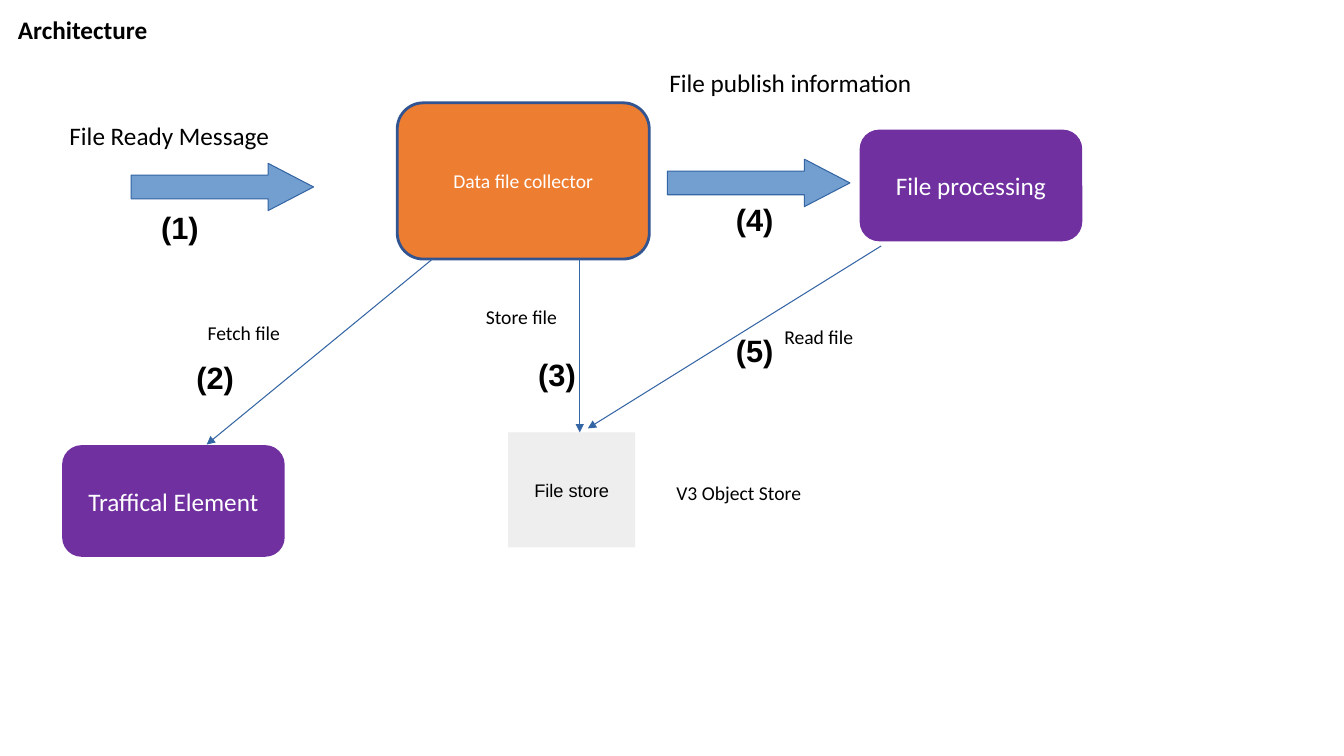
from lxml import etree
from pptx import Presentation
from pptx import util as u
from pptx.dml.color import RGBColor
from pptx.enum import shapes, text
from pptx.oxml.ns import qn

COLOURS = {
    "black": "000000", "white": "FFFFFF", "purple": "7030A0",
    "orange": "ED7D31", "navy": "325491", "grey": "EEEEEE",
    "arrow_fill": "729FCF", "arrow_line": "3465A4",
}
BOX_KIND = shapes.MSO_SHAPE.ROUNDED_RECTANGLE


def colour(name):
    """Return the named colour as an RGB value."""
    return RGBColor.from_string(COLOURS[name])


def write_text(shape, words, size=18, font="Calibri", ink="black", bold=False,
               align=text.PP_ALIGN.LEFT, anchor=text.MSO_ANCHOR.TOP, side=0.1):
    """Put one formatted line of text in a shape."""
    frame = shape.text_frame
    frame.word_wrap = True
    frame.vertical_anchor = anchor
    frame.margin_left = frame.margin_right = u.Inches(side)
    paragraph = frame.paragraphs[0]
    paragraph.alignment = align
    run = paragraph.add_run()
    run.text = words
    run.font.size = u.Pt(size)
    run.font.name = font
    run.font.bold = bold
    run.font.color.rgb = colour(ink)


def add_label(slide, words, left, top, width, height, fill=None, **style):
    """Add a text box, filled if a colour is given."""
    label = slide.shapes.add_textbox(*map(u.Inches, (left, top, width, height)))
    if fill:
        label.fill.solid()
        label.fill.fore_color.rgb = colour(fill)
    write_text(label, words, **style)


def add_shape(slide, kind, left, top, width, height, fill, line=None, weight=2):
    """Add a flat preset shape, outlined if a line colour is given."""
    shape = slide.shapes.add_shape(kind, *map(u.Inches, (left, top, width, height)))
    shape.shadow.inherit = False
    shape.fill.solid()
    shape.fill.fore_color.rgb = colour(fill)
    if line:
        shape.line.color.rgb = colour(line)
        shape.line.width = u.Pt(weight)
    else:
        shape.line.fill.background()
    return shape


def add_box(slide, words, left, top, width, height, fill, line=None,
            kind=BOX_KIND, **style):
    """Add a component box with centred text."""
    box = add_shape(slide, kind, left, top, width, height, fill, line)
    write_text(box, words, align=text.PP_ALIGN.CENTER,
               anchor=text.MSO_ANCHOR.MIDDLE, **style)


def add_block_arrow(slide, left, top):
    """Add a thick arrow that points right."""
    arrow = add_shape(slide, shapes.MSO_SHAPE.RIGHT_ARROW, left, top, 1.81, 0.47,
                      "arrow_fill", "arrow_line", 0.75)
    arrow.adjustments[0] = 0.5
    arrow.adjustments[1] = 0.96


def add_flow(slide, start, end):
    """Add a thin line with an arrowhead at its end."""
    flow = slide.shapes.add_connector(shapes.MSO_CONNECTOR.STRAIGHT,
                                      *map(u.Inches, start + end))
    flow.line.color.rgb = colour("arrow_line")
    flow.line.width = u.Pt(0.75)
    properties = flow.line._get_or_add_ln()
    etree.SubElement(properties, qn("a:tailEnd"), type="triangle")
    etree.SubElement(properties.getparent(), qn("a:effectLst"))


def main():
    """Build the architecture slide."""
    presentation = Presentation()
    presentation.slide_width = u.Inches(13.33)
    presentation.slide_height = u.Inches(7.5)
    slide = presentation.slides.add_slide(presentation.slide_layouts[6])

    add_label(slide, "Architecture", 0.08, 0.09, 2.44, 0.4, fill="white", bold=True)
    add_label(slide, "File publish information", 6.54, 0.62, 3.15, 0.4, fill="white")
    add_label(slide, "File Ready Message", 0.59, 1.14, 2.72, 0.4, fill="white")

    for words, left, top in (("File processing", 8.54, 1.3),
                             ("Traffical Element", 0.63, 4.43)):
        add_box(slide, words, left, top, 2.18, 1.08, "purple", "purple", ink="white")
    add_box(slide, "Data file collector", 3.94, 1.02, 2.5, 1.55, "orange", "navy",
            size=14, ink="white")
    add_box(slide, "File store", 5.04, 4.29, 1.26, 1.14, "grey",
            kind=shapes.MSO_SHAPE.RECTANGLE, size=13, font="Arial", side=0)

    add_block_arrow(slide, 1.3, 1.62)
    add_block_arrow(slide, 6.62, 1.58)

    for start, end in (((4.29, 2.57), (2.05, 4.41)),
                       ((5.75, 2.57), (5.75, 4.29)),
                       ((8.74, 2.44), (5.83, 4.25))):
        add_flow(slide, start, end)

    for words, left, top, width in (("Fetch file", 1.96, 3.13, 1.11),
                                    ("Store file", 4.72, 2.98, 1.11),
                                    ("Read file", 7.68, 3.17, 1.11),
                                    ("V3 Object Store", 6.61, 4.72, 1.74)):
        add_label(slide, words, left, top, width, 0.33, size=14)

    step_places = ((1.5, 2.02), (1.85, 3.51), (5.24, 3.48), (7.2, 1.94), (7.2, 3.24))
    for number, (left, top) in enumerate(step_places, start=1):
        add_label(slide, f"({number})", left, top, 0.63, 0.55,
                  size=22, font="Arial", bold=True)

    presentation.save("out.pptx")


main()
